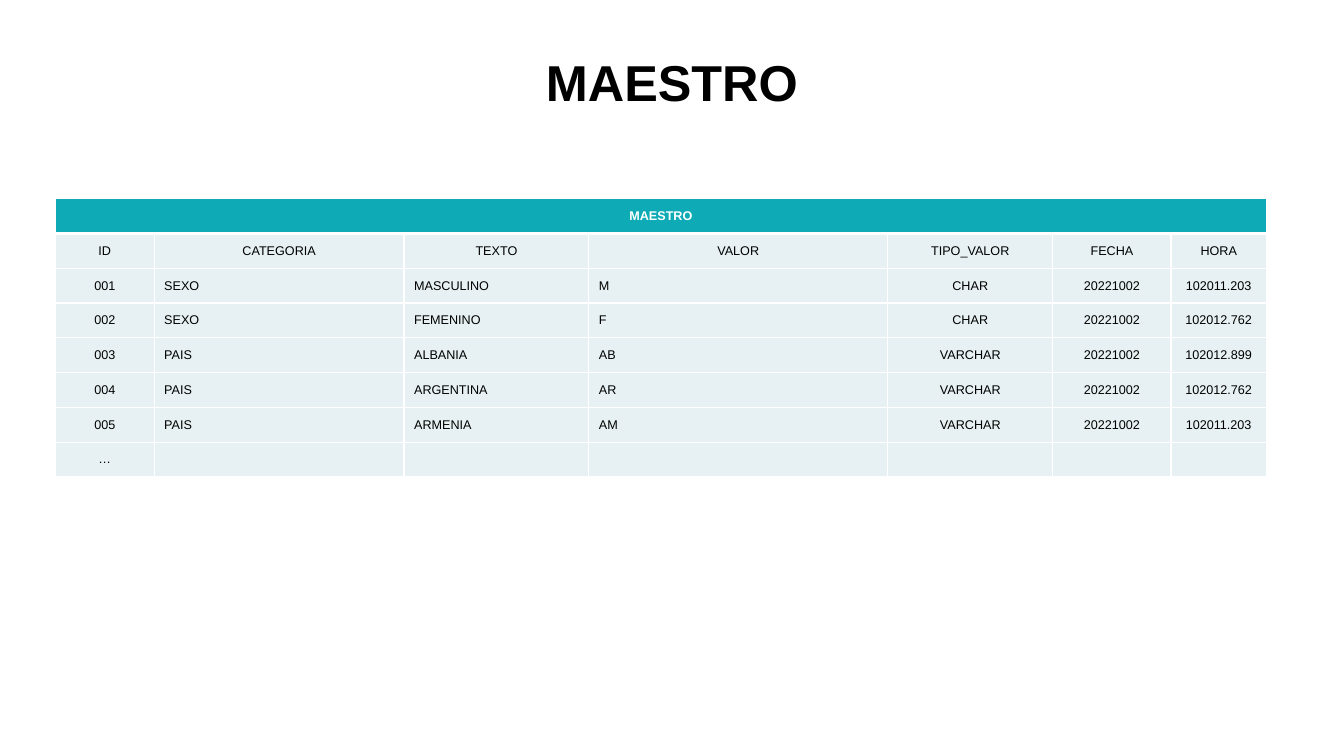
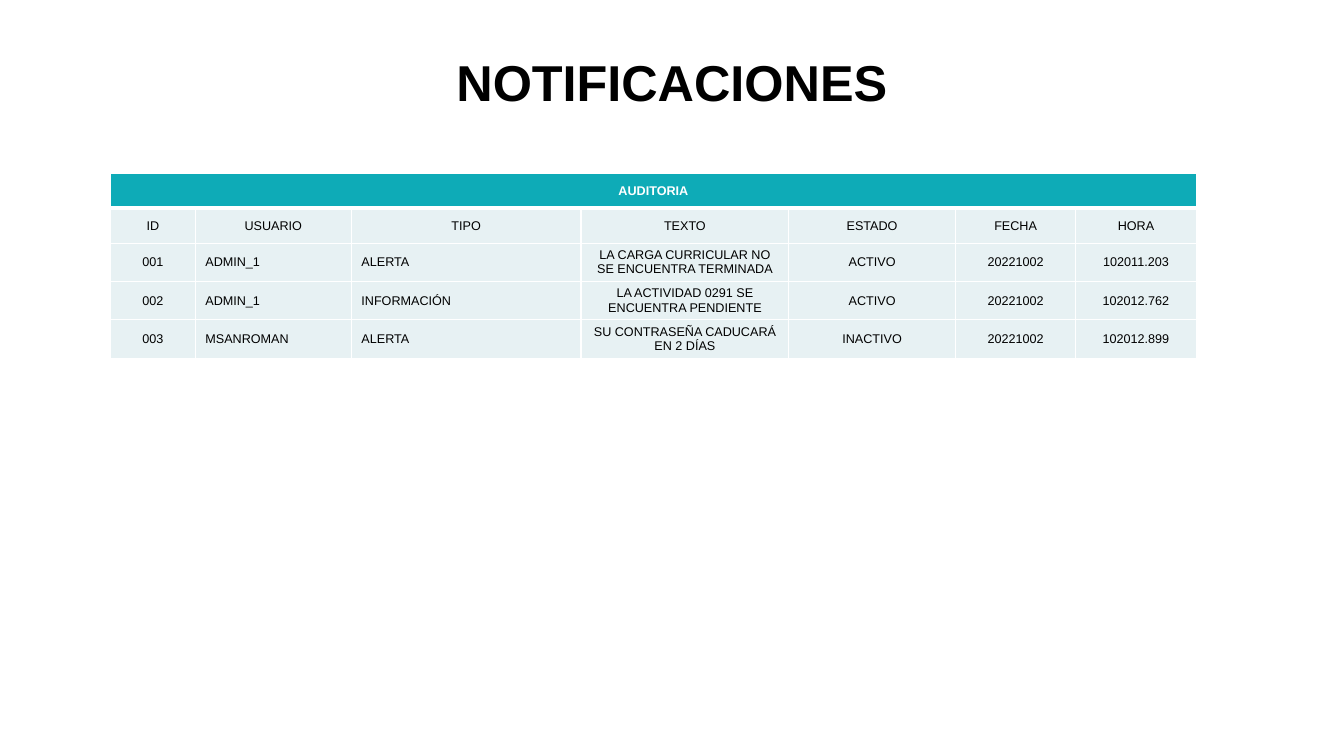
from dataclasses import dataclass

from lxml import etree
from pptx import Presentation
from pptx import util as u
from pptx.dml import color
from pptx.enum import text
from pptx.oxml import ns

FONT = "Arial"
COLORS = {"text": "000000", "header": "0EABB7", "cell": "E7F1F3", "white": "FFFFFF"}
TITLE_SIZE = 36
CELL_SIZE = 9
ROW_HEIGHT = 24.84
THIN, THICK = 1, 3
TITLE_ONLY_LAYOUT = 5


@dataclass(frozen=True)
class TableSlide:
    title: str
    caption: str
    left: float
    top: float
    widths: tuple[float, ...]
    left_columns: tuple[int, ...]
    headings: tuple[str, ...]
    records: tuple[tuple[str, ...], ...]


TABLE_SLIDES = (
    TableSlide(
        title="MAESTRO",
        caption="MAESTRO",
        left=39.6,
        top=142,
        widths=(70.5, 178.5, 132, 213.5, 118, 84.5, 68),
        left_columns=(1, 2, 3),
        headings=("ID", "CATEGORIA", "TEXTO", "VALOR", "TIPO_VALOR", "FECHA", "HORA"),
        records=(
            ("001", "SEXO", "MASCULINO", "M", "CHAR", "20221002", "102011.203"),
            ("002", "SEXO", "FEMENINO", "F", "CHAR", "20221002", "102012.762"),
            ("003", "PAIS", "ALBANIA", "AB", "VARCHAR", "20221002", "102012.899"),
            ("004", "PAIS", "ARGENTINA", "AR", "VARCHAR", "20221002", "102012.762"),
            ("005", "PAIS", "ARMENIA", "AM", "VARCHAR", "20221002", "102011.203"),
            ("…", "", "", "", "", "", ""),
        ),
    ),
    TableSlide(
        title="NOTIFICACIONES",
        caption="AUDITORIA",
        left=79,
        top=124,
        widths=(60.5, 111.5, 164, 148.5, 119, 86, 86),
        left_columns=(1, 2),
        headings=("ID", "USUARIO", "TIPO", "TEXTO", "ESTADO", "FECHA", "HORA"),
        records=(
            ("001", "ADMIN_1", "ALERTA", "LA CARGA CURRICULAR NO SE ENCUENTRA TERMINADA",
             "ACTIVO", "20221002", "102011.203"),
            ("002", "ADMIN_1", "INFORMACIÓN", "LA ACTIVIDAD 0291 SE ENCUENTRA PENDIENTE",
             "ACTIVO", "20221002", "102012.762"),
            ("003", "MSANROMAN", "ALERTA", "SU CONTRASEÑA CADUCARÁ EN 2 DÍAS",
             "INACTIVO", "20221002", "102012.899"),
        ),
    ),
)


def rgb(name: str) -> color.RGBColor:
    return color.RGBColor.from_string(COLORS[name])


def add_run(paragraph, content: str, size: float, color_name: str, bold: bool) -> None:
    run = paragraph.add_run()
    run.text = content
    run.font.name = FONT
    run.font.size = u.Pt(size)
    run.font.bold = bold
    run.font.color.rgb = rgb(color_name)


def add_title(slide, content: str) -> None:
    title = slide.shapes.title
    title.left, title.top = u.Pt(18), u.Pt(36)
    title.width, title.height = u.Pt(924), u.Pt(49.7)
    title.text_frame.vertical_anchor = text.MSO_ANCHOR.MIDDLE
    paragraph = title.text_frame.paragraphs[0]
    paragraph.alignment = text.PP_ALIGN.CENTER
    paragraph.line_spacing = 0.9
    paragraph.space_before = u.Pt(0)
    add_run(paragraph, content, TITLE_SIZE, "text", True)


def set_borders(cell, top: float, bottom: float) -> None:
    """Draw white borders; the schema wants them ahead of the cell's fill."""
    properties = cell._tc.get_or_add_tcPr()
    sides = {"lnL": THIN, "lnR": THIN, "lnT": top, "lnB": bottom}
    for position, (side, width) in enumerate(sides.items()):
        line = etree.Element(ns.qn(f"a:{side}"), w=str(u.Pt(width)))
        fill = etree.SubElement(line, ns.qn("a:solidFill"))
        etree.SubElement(fill, ns.qn("a:srgbClr"), val=COLORS["white"])
        properties.insert(position, line)


def fill_cell(cell, content: str, is_caption: bool, centered: bool) -> None:
    cell.fill.solid()
    cell.fill.fore_color.rgb = rgb("header" if is_caption else "cell")
    cell.vertical_anchor = text.MSO_ANCHOR.MIDDLE
    paragraph = cell.text_frame.paragraphs[0]
    paragraph.alignment = text.PP_ALIGN.CENTER if centered else text.PP_ALIGN.LEFT
    if content:
        add_run(paragraph, content, CELL_SIZE, "white" if is_caption else "text", is_caption)
    else:
        # An empty cell needs the small size too, or its row grows.
        etree.SubElement(paragraph._p, ns.qn("a:endParaRPr"), sz=str(CELL_SIZE * 100))


def add_table(slide, content: TableSlide) -> None:
    column_count = len(content.widths)
    caption_row = (content.caption,) + ("",) * (column_count - 1)
    rows = (caption_row, content.headings, *content.records)
    table = slide.shapes.add_table(
        len(rows), column_count, u.Pt(content.left), u.Pt(content.top),
        u.Pt(sum(content.widths)), u.Pt(ROW_HEIGHT * len(rows)),
    ).table
    table.horz_banding = False
    for column, width in zip(table.columns, content.widths):
        column.width = u.Pt(width)
    for row_index, row in enumerate(rows):
        table.rows[row_index].height = u.Pt(ROW_HEIGHT)
        for column_index, value in enumerate(row):
            cell = table.cell(row_index, column_index)
            centered = row_index < 2 or column_index not in content.left_columns
            fill_cell(cell, value, row_index == 0, centered)
            set_borders(
                cell,
                top=THICK if row_index == 1 else THIN,
                bottom=THICK if row_index == 0 else THIN,
            )
    table.cell(0, 0).merge(table.cell(0, column_count - 1))


def main() -> None:
    presentation = Presentation()
    presentation.slide_width, presentation.slide_height = u.Pt(960), u.Pt(540)
    layout = presentation.slide_layouts[TITLE_ONLY_LAYOUT]
    for content in TABLE_SLIDES:
        slide = presentation.slides.add_slide(layout)
        add_title(slide, content.title)
        add_table(slide, content)
    presentation.save("out.pptx")


if __name__ == "__main__":
    main()
